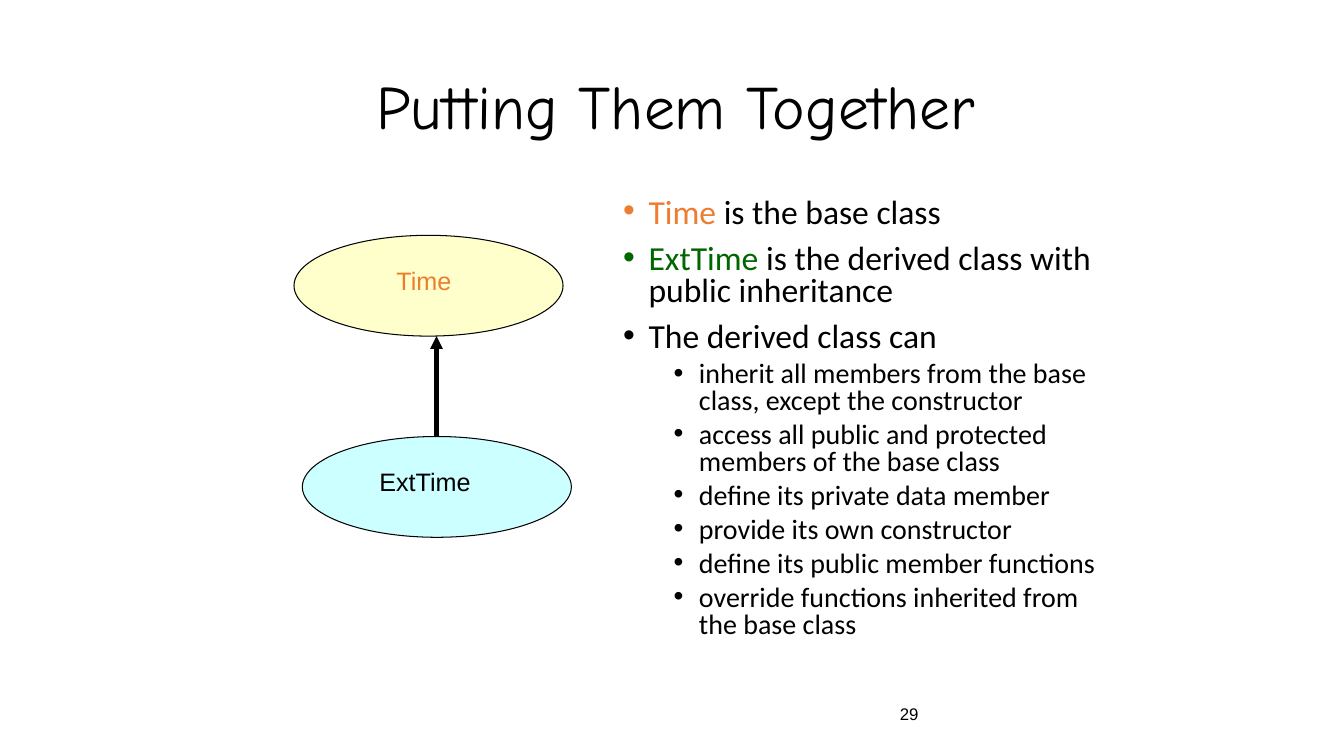
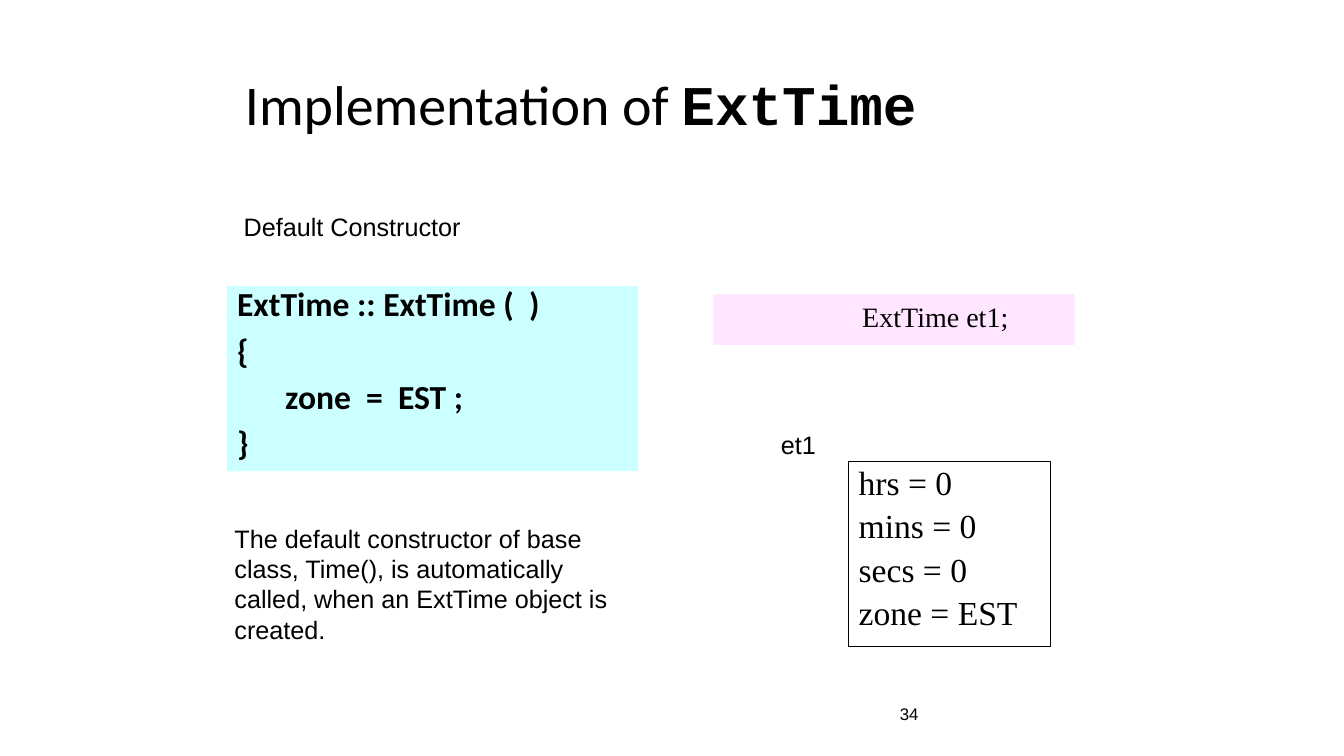
from dataclasses import dataclass

from lxml.etree import SubElement
from pptx import Presentation
from pptx.dml.color import RGBColor
from pptx.enum.shapes import MSO_CONNECTOR, MSO_SHAPE
from pptx.enum.text import MSO_ANCHOR, MSO_AUTO_SIZE, PP_ALIGN
from pptx.oxml.ns import qn
from pptx.util import Cm, Pt


@dataclass(frozen=True)
class Theme:
    black: str = "000000"
    orange: str = "ED7D31"
    green: str = "006600"
    cyan: str = "CCFFFF"
    yellow: str = "FFFFCC"
    pink: str = "FFE5FF"
    sans: str = "Arial"
    body: str = "Calibri"
    comic: str = "Comic Neue"
    mono: str = "Courier New"
    serif: str = "Times New Roman"
    big: int = 44
    head: int = 40
    text: int = 24
    sub: int = 20
    label: int = 18
    foot: int = 12


T = Theme()


def write(frame, text, *, font=T.sans, size=T.label, color=T.black, bold=False,
          align=PP_ALIGN.LEFT, level=0, left=0, hang=0, gap=0, line=1.0, mark=None):
    para = frame.paragraphs[0]
    if para.runs:
        para = frame.add_paragraph()
    else:
        gap = 0
    props = para._p.get_or_add_pPr()
    props.set("marL", str(Cm(left)))
    props.set("indent", str(-Cm(hang)))
    if mark:
        SubElement(props, qn("a:buFont")).set("typeface", T.sans)
        SubElement(props, qn("a:buChar")).set("char", mark)
    else:
        SubElement(props, qn("a:buNone"))
    para.level = level
    para.alignment = align
    para.line_spacing = line
    para.space_before = Pt(gap)
    base = {"font": font, "color": color, "bold": bold}
    parts = [(text, {})] if isinstance(text, str) else text
    for words, change in parts:
        style = base | change
        run = para.add_run()
        run.text = words
        run.font.name = style["font"]
        run.font.size = Pt(size)
        run.font.bold = style["bold"]
        run.font.color.rgb = RGBColor.from_string(style["color"])


def place(shape, box, anchor=MSO_ANCHOR.TOP):
    shape.left, shape.top, shape.width, shape.height = map(Cm, box)
    frame = shape.text_frame
    frame.auto_size = MSO_AUTO_SIZE.NONE
    frame.vertical_anchor = anchor
    frame.word_wrap = True
    return frame


def paint(shape, color):
    shape.fill.solid()
    shape.fill.fore_color.rgb = RGBColor.from_string(color)


def label(slide, text, box, anchor=MSO_ANCHOR.TOP, wrap=False, **style):
    frame = place(slide.shapes.add_textbox(*map(Cm, box)), box, anchor)
    frame.word_wrap = wrap
    write(frame, text, **style)


def draw(slide, kind, box, fill=None, edge=None):
    shape = slide.shapes.add_shape(kind, *map(Cm, box))
    shape.shadow.inherit = False
    if fill:
        paint(shape, fill)
    else:
        shape.fill.background()
    if edge:
        shape.line.color.rgb = RGBColor.from_string(edge)
        shape.line.width = Pt(0.75)
    else:
        shape.line.fill.background()
    return place(shape, box)


def arrow(slide, start, end):
    link = slide.shapes.add_connector(MSO_CONNECTOR.STRAIGHT, *map(Cm, start + end))
    link.line.color.rgb = RGBColor.from_string(T.black)
    link.line.width = Pt(3)
    SubElement(link.line._get_or_add_ln(), qn("a:tailEnd")).set("type", "triangle")
    SubElement(link._element.spPr, qn("a:effectLst"))


def start(deck, number):
    slide = deck.slides.add_slide(deck.slide_layouts[1])
    label(slide, number, (22.43, 17.35, 5.28, 1.27), MSO_ANCHOR.MIDDLE, size=T.foot)
    return slide


def classes(deck):
    slide = start(deck, "29")
    title = place(slide.shapes.title, (5.92, 1.7, 22.23, 1.9), MSO_ANCHOR.MIDDLE)
    write(title, "Putting Them Together", font=T.comic, size=T.big,
          align=PP_ALIGN.CENTER)

    body = place(slide.placeholders[1], (15.45, 4.87, 12.9, 12.5))
    points = (
        [("Time", {"color": T.orange}), (" is the base class", {})],
        [("ExtTime", {"color": T.green}),
         (" is the derived class with public inheritance", {})],
        "The derived class can",
    )
    for point in points:
        write(body, point, font=T.body, size=T.text, left=0.64, hang=0.64,
              gap=10, line=0.8, mark="•")
    powers = (
        "inherit all members from the base class, except the constructor",
        "access all public and protected members of the base class",
        "define its private data member",
        "provide its own constructor",
        "define its public member functions",
        "override functions inherited from the base class",
    )
    for power in powers:
        write(body, power, font=T.body, size=T.sub, level=1, left=1.91, hang=0.64,
              gap=5, line=0.8, mark="•")

    arrow(slide, (11, 11), (11, 8.47))
    nodes = (
        ("ExtTime", 7.62, 11, T.cyan, T.black, 9.31, 2.84),
        ("Time", 7.41, 5.93, T.yellow, T.orange, 9.74, 1.91),
    )
    for name, left, top, fill, color, inset, width in nodes:
        draw(slide, MSO_SHAPE.OVAL, (left, top, 6.78, 2.54), fill, T.black)
        label(slide, name, (inset, top + 0.63, width, 1.02), color=color)


def build(deck):
    slide = start(deck, "34")
    title = place(slide.shapes.title, (5.92, 1.27, 21.8, 2.33), MSO_ANCHOR.BOTTOM)
    write(title, [("Implementation of ", {}),
                  ("ExtTime", {"font": T.mono, "bold": True})],
          font=T.body, size=T.head, line=0.9)

    label(slide, "Default Constructor", (5.89, 5.21, 6.05, 1.02))

    code = slide.placeholders[1]
    paint(code, T.cyan)
    frame = place(code, (5.72, 7.21, 10.36, 4.66))
    lines = (("ExtTime :: ExtTime (  )", 0), ("{", 0),
             ("   zone  =  EST ;", 0.64), ("}", 0))
    for text, left in lines:
        write(frame, text, font=T.body, size=T.text, bold=True, left=left,
              gap=10, line=0.8)

    label(slide, "The default constructor of base class, Time(), is automatically "
                 "called, when an ExtTime object is created.",
          (5.66, 13.06, 10.62, 3.33), wrap=True)

    call = draw(slide, MSO_SHAPE.RECTANGLE, (17.98, 7.42, 9.1, 1.27), T.pink)
    write(call, "ExtTime et1;", font=T.serif, size=T.sub, left=3.5)

    state = draw(slide, MSO_SHAPE.RECTANGLE, (21.39, 11.63, 5.08, 4.66), edge=T.black)
    for field in ("hrs = 0", "mins = 0", "secs = 0", "zone = EST"):
        write(state, field, font=T.serif, size=T.text, gap=5, line=0.9)
    label(slide, "et1", (19.43, 10.69, 1.4, 1.02))


def main():
    deck = Presentation()
    deck.slide_width, deck.slide_height = Cm(33.87), Cm(19.05)
    classes(deck)
    build(deck)
    deck.save("out.pptx")


if __name__ == "__main__":
    main()
